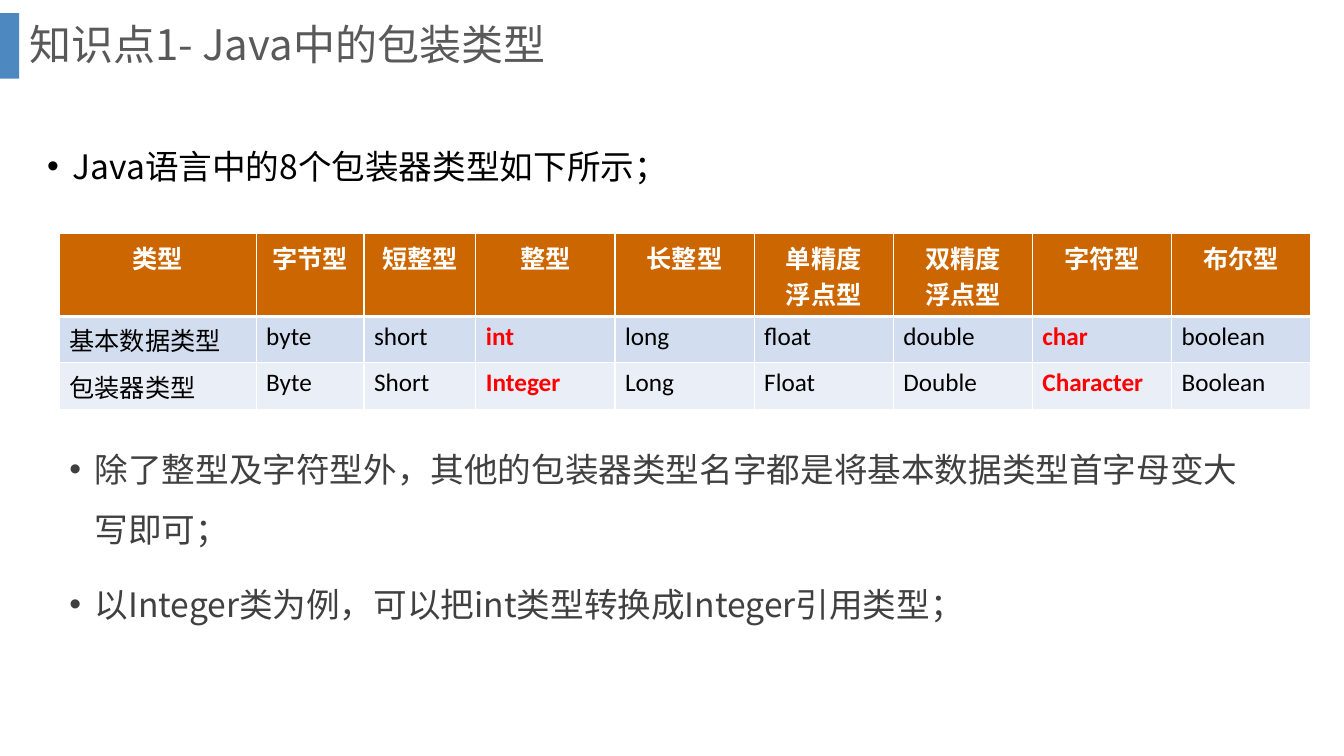
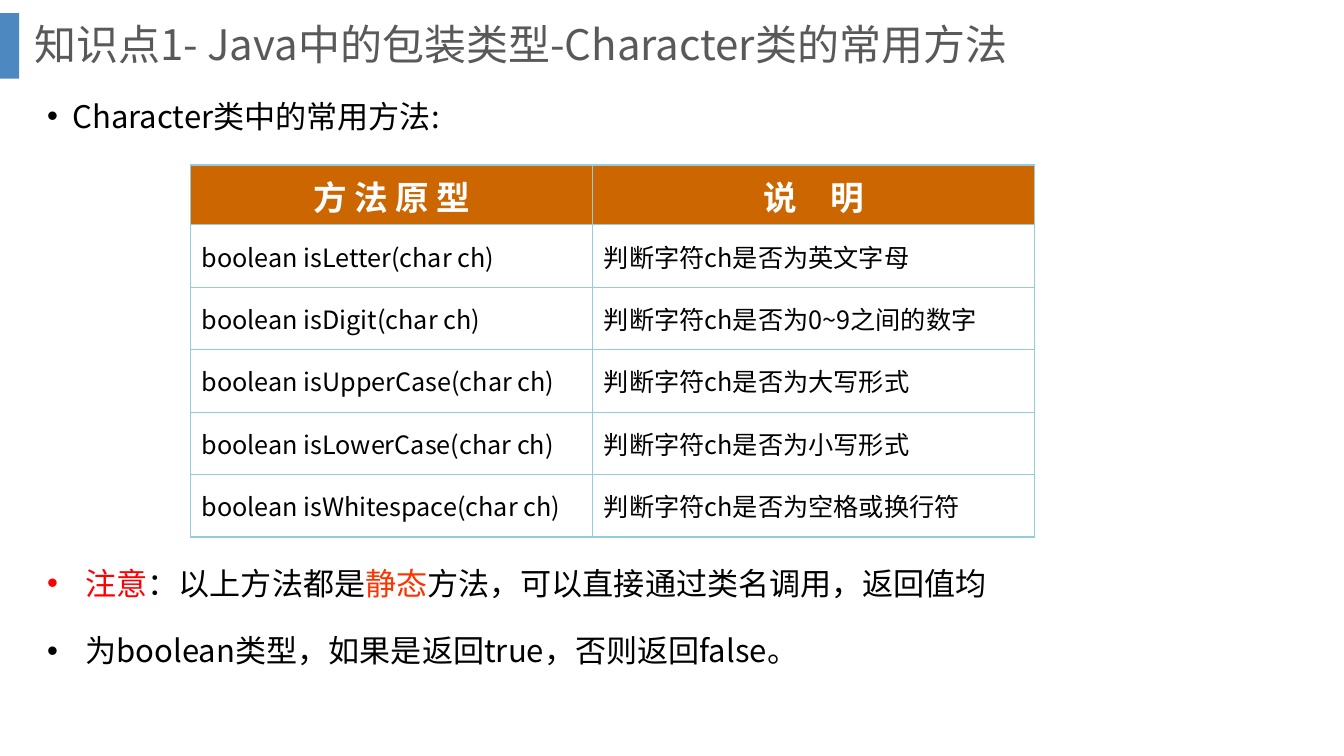
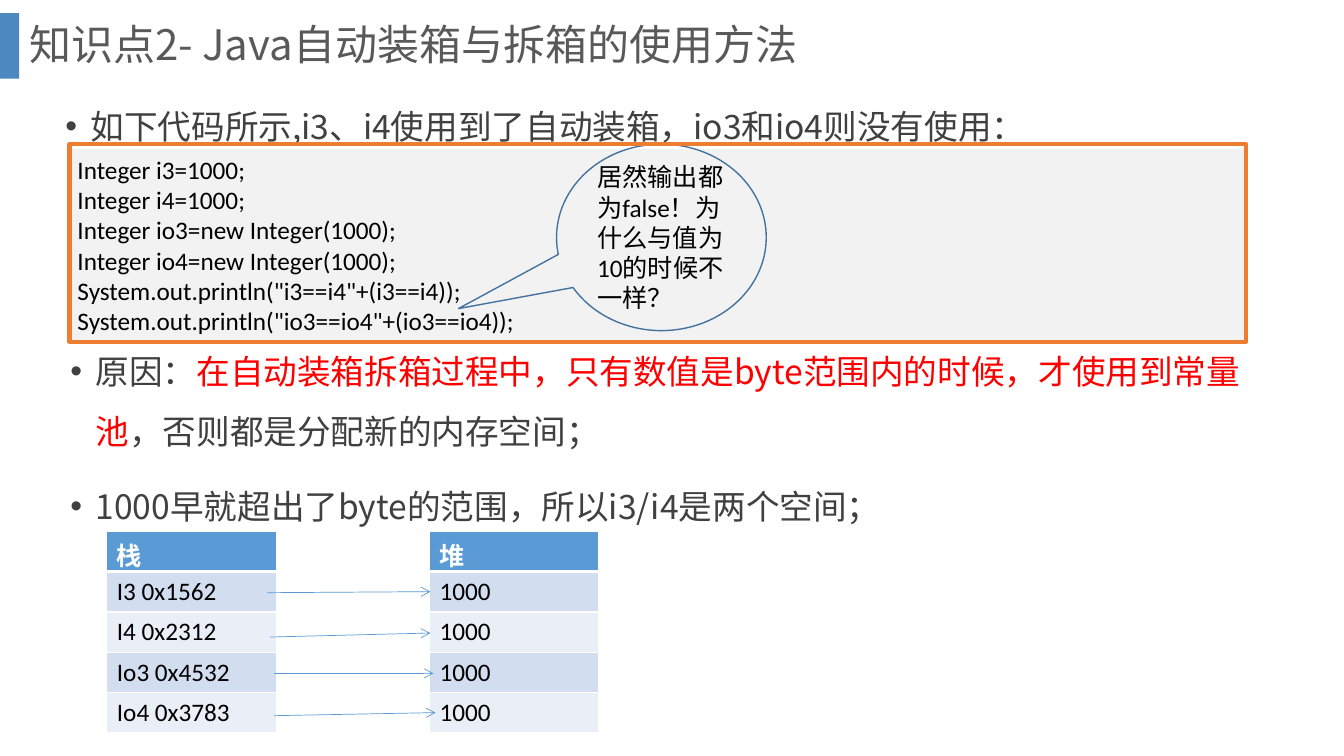
import lxml.etree
import pptx
import pptx.dml.color
import pptx.enum.shapes
import pptx.enum.text
import pptx.oxml.ns
import pptx.util

Inches, Pt, qn = pptx.util.Inches, pptx.util.Pt, pptx.oxml.ns.qn
SubElement = lxml.etree.SubElement
MSO, ALIGN, ANCHOR = pptx.enum.shapes.MSO_SHAPE, pptx.enum.text.PP_ALIGN, pptx.enum.text.MSO_ANCHOR
CJK, LATIN = "Noto Sans CJK SC", "Calibri"
WHITE, BLACK, GRAY, RED = "FFFFFF", "000000", "404040", "FF0000"
ORANGE, BLUE, BAND_DARK, BAND_LIGHT = "CC6600", "5B9BD5", "D2DEEF", "EAEFF7"


def rgb(hex_text):
    """Turn a hex string into a colour."""
    return pptx.dml.color.RGBColor.from_string(hex_text)


def write(tf, paragraphs, size=18, color=BLACK, font=LATIN, bold=False, align=ALIGN.LEFT,
          anchor=ANCHOR.TOP, line=None, before=0, indent=0):
    """Fill a text frame; a paragraph is a string or a list of (text, colour) runs."""
    tf.word_wrap, tf.vertical_anchor = True, anchor
    for i, runs in enumerate(paragraphs):
        p = tf.add_paragraph() if i else tf.paragraphs[0]
        p.alignment, p.line_spacing, p.space_before = align, line, Pt(before)
        if indent:
            pPr = p._p.get_or_add_pPr()
            pPr.set("marL", str(Inches(indent)))
            pPr.set("indent", str(-Inches(indent)))
            SubElement(pPr, qn("a:buFont"), typeface="Arial")
            SubElement(pPr, qn("a:buChar"), char="•")
        for text, run_color in [(runs, color)] if isinstance(runs, str) else runs:
            r = p.add_run()
            r.text = text
            r.font.size, r.font.bold, r.font.name = Pt(size), bold, font
            r.font.color.rgb = rgb(run_color)
            SubElement(r.font._element, qn("a:ea"), typeface=CJK)


prs = pptx.Presentation()
prs.slide_width, prs.slide_height = Inches(13.33), Inches(7.5)

# Slides with their accent band and title
titles = [
    (0.19, "知识点1- Java中的包装类型"),
    (0.24, "知识点1- Java中的包装类型-Character类的常用方法"),
    (0.19, "知识点2- Java自动装箱与拆箱的使用方法"),
]
slides = []
for left, title in titles:
    s = prs.slides.add_slide(prs.slide_layouts[6])
    slides.append(s)
    band = s.shapes.add_shape(MSO.RECTANGLE, 0, Inches(0.13), Inches(0.19), Inches(0.65))
    band.shadow.inherit = False
    band.fill.solid()
    band.fill.fore_color.rgb = rgb("2E75B6")
    SubElement(band.element.spPr.find(qn("a:solidFill"))[0], qn("a:alpha"), val="85000")
    band.line.fill.background()
    box = s.shapes.add_textbox(Inches(left), 0, Inches(12.66), Inches(0.93))
    write(box.text_frame, [title], size=30, color="595959", font=CJK, anchor=ANCHOR.MIDDLE, line=0.9)
wrappers, methods, boxing = slides

# Bulleted text
wide = dict(size=24, line=1.5, before=10, indent=0.25)
bullets = [
    (wrappers, 0.37, 1.2, 0.7, ["Java语言中的8个包装器类型如下所示；"], wide),
    (wrappers, 0.59, 4.2, 1.94, [
        "除了整型及字符型外，其他的包装器类型名字都是将基本数据类型首字母变大写即可；",
        "以Integer类为例，可以把int类型转换成Integer引用类型；"], dict(wide, color=GRAY)),
    (methods, 0.37, 0.77, 0.7, ["Character类中的常用方法:"],
     dict(size=22.2, line=1.4, before=10, indent=0.25)),
    (methods, 0.37, 5.4, 1.5, [
        [("注意", RED), ("：以上方法都是", BLACK), ("静态", "FF3300"),
         ("方法，可以直接通过类名调用，返回值均", BLACK)],
        "为boolean类型，如果是返回true，否则返回false。"],
     dict(size=22.2, line=1.4, before=11, indent=0.38)),
    (boxing, 0.55, 0.8, 0.75, ["如下代码所示,i3、i4使用到了自动装箱，io3和io4则没有使用："],
     dict(wide, color=GRAY)),
    (boxing, 0.6, 3.23, 2.02, [
        [("原因：", GRAY),
         ("在自动装箱拆箱过程中，只有数值是byte范围内的时候，才使用到常量池", RED),
         ("，否则都是分配新的内存空间；", GRAY)],
        "1000早就超出了byte的范围，所以i3/i4是两个空间；"], dict(wide, color=GRAY)),
]
for s, left, top, height, paragraphs, style in bullets:
    box = s.shapes.add_textbox(Inches(left), Inches(top), Inches(12.05), Inches(height))
    write(box.text_frame, paragraphs, font=CJK, **style)

# Tables
type_rows = [
    ["类型", "字节型", "短整型", "整型", "长整型", "单精度\n浮点型", "双精度\n浮点型", "字符型", "布尔型"],
    ["基本数据类型", "byte", "short", "int", "long", "float", "double", "char", "boolean"],
    ["包装器类型", "Byte", "Short", "Integer", "Long", "Float", "Double", "Character", "Boolean"],
]
method_rows = [
    ["方 法 原 型", "说\u3000明"],
    ["boolean isLetter(char ch)", "判断字符ch是否为英文字母"],
    ["boolean isDigit(char ch)", "判断字符ch是否为0~9之间的数字"],
    ["boolean isUpperCase(char ch)", "判断字符ch是否为大写形式"],
    ["boolean isLowerCase(char ch)", "判断字符ch是否为小写形式"],
    ["boolean isWhitespace(char ch)", "判断字符ch是否为空格或换行符"],
]
stack_rows = [["栈"], ["I3 0x1562"], ["I4 0x2312"], ["Io3 0x4532"], ["Io4 0x3783"]]
heap_rows = [["堆"]] + [["1000"]] * 4
exceptions = {"int", "Integer", "char", "Character"}
tables = [
    (wrappers, 0.59, 2.32, [1.95, 1.07, 1.11] + [1.38] * 6, [0.82, 0.46, 0.46], type_rows, ORANGE),
    (methods, 1.89, 1.64, [3.99, 4.38], [0.59] + [0.62] * 5, method_rows, ORANGE),
    (boxing, 1.06, 5.27, [1.68], [0.4] * 5, stack_rows, BLUE),
    (boxing, 4.26, 5.27, [1.68], [0.4] * 5, heap_rows, BLUE),
]
for s, left, top, widths, heights, rows, head_color in tables:
    ruled = s is methods
    table = s.shapes.add_table(len(rows), len(widths), Inches(left), Inches(top),
                               Inches(sum(widths)), Inches(sum(heights))).table
    for column, width in zip(table.columns, widths):
        column.width = Inches(width)
    for i, (row, height) in enumerate(zip(rows, heights)):
        table.rows[i].height = Inches(height)
        head = i == 0
        for j, text in enumerate(row):
            cell = table.cell(i, j)
            outer = {"L": j == 0, "R": j == len(row) - 1, "T": head, "B": i == len(rows) - 1}
            for side, at_edge in outer.items():
                if ruled:
                    weight, border = (1.5, "92CDDC") if at_edge else (1, "93CDDD")
                else:
                    thick = (head and side == "B") or (i == 1 and side == "T")
                    weight, border = (3 if thick else 1), WHITE
                ln = SubElement(cell._tc.get_or_add_tcPr(), qn("a:ln" + side), w=str(Pt(weight)))
                SubElement(SubElement(ln, qn("a:solidFill")), qn("a:srgbClr"), val=border)
            if ruled and not head:
                cell.fill.background()
            else:
                cell.fill.solid()
                cell.fill.fore_color.rgb = rgb(head_color if head else BAND_DARK if i % 2 else BAND_LIGHT)
            if ruled:
                cell.margin_left = cell.margin_right = Inches(0.11)
                cell.margin_top = cell.margin_bottom = Inches(0.06)
            centred = head and s is not boxing
            write(cell.text_frame, text.split("\n"), size=24 if ruled and head else 18,
                  font=CJK if ruled else LATIN, bold=head or text in exceptions,
                  color=WHITE if head else RED if text in exceptions else BLACK,
                  align=ALIGN.CENTER if centred else ALIGN.JUSTIFY if ruled else ALIGN.LEFT)
            cell.vertical_anchor = ANCHOR.MIDDLE if ruled else ANCHOR.TOP

# Code panel, callout and frame
code = [
    "Integer i3=1000;",
    "Integer i4=1000;",
    "Integer io3=new Integer(1000);",
    "Integer io4=new Integer(1000);",
    'System.out.println("i3==i4"+(i3==i4));',
    'System.out.println("io3==io4"+(io3==io4));',
]
question = ["居然输出都为false！为什么与值为10的时候不一样？"]
panels = [
    (MSO.RECTANGLE, (0.67, 1.48, 11.69, 1.92), "F2F2F2", None, code, ANCHOR.TOP),
    (MSO.OVAL_CALLOUT, (5.52, 1.43, 2.08, 1.85), None, ("43739E", 1), question, ANCHOR.MIDDLE),
    (MSO.RECTANGLE, (0.69, 1.43, 11.67, 1.96), None, ("ED7D31", 3), [], ANCHOR.TOP),
]
for kind, place, fill, line, paragraphs, anchor in panels:
    sp = boxing.shapes.add_shape(kind, *map(Inches, place))
    sp.shadow.inherit = False
    if fill:
        sp.fill.solid()
        sp.fill.fore_color.rgb = rgb(fill)
    else:
        sp.fill.background()
    if line:
        sp.line.color.rgb, sp.line.width = rgb(line[0]), Pt(line[1])
    else:
        sp.line.fill.background()
    if kind == MSO.OVAL_CALLOUT:
        sp.adjustments[0], sp.adjustments[1] = -0.968, 0.382
    write(sp.text_frame, paragraphs, anchor=anchor)

# Arrows from stack to heap
arrows = [(2.65, 5.88, 4.27, 5.87), (2.68, 6.32, 4.27, 6.28),
          (2.72, 6.68, 4.3, 6.68), (2.72, 7.1, 4.32, 7.07)]
for ends in arrows:
    arrow = boxing.shapes.add_connector(pptx.enum.shapes.MSO_CONNECTOR.STRAIGHT, *map(Inches, ends))
    arrow.line.color.rgb, arrow.line.width = rgb(BLUE), Pt(0.5)
    spPr = arrow.element.spPr
    SubElement(spPr.find(qn("a:ln")), qn("a:tailEnd"), type="arrow")
    SubElement(spPr, qn("a:effectLst"))

prs.save("out.pptx")
